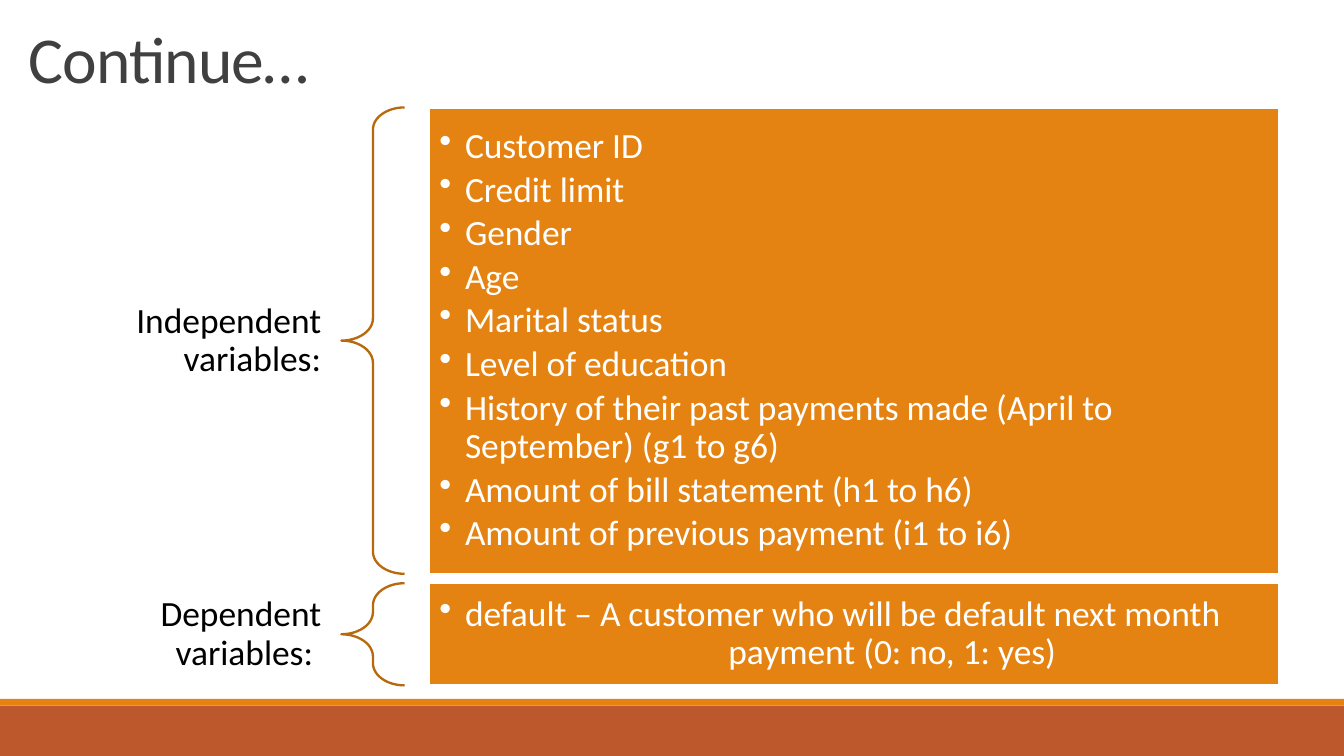
from lxml.etree import SubElement
from pptx import Presentation
from pptx.dml.color import RGBColor
from pptx.enum.shapes import MSO_SHAPE
from pptx.enum.text import MSO_ANCHOR, MSO_AUTO_SIZE, PP_ALIGN
from pptx.oxml.ns import qn
from pptx.util import Inches, Pt

COLORS = {
    "title": "404040",
    "label": "000000",
    "white": "FFFFFF",
    "orange": "E48312",
    "rust": "BD582C",
    "brace": "B7690E",
}
COLUMNS, ROWS = 100, 56.25
BULLET_INDENT = 1.9
GROUP_TOP, GROUP_GAP = 8, 0.7

GROUPS = [
    ("Independent variables:", 34.7, [
        ("Customer ID",),
        ("Credit limit",),
        ("Gender",),
        ("Age",),
        ("Marital status",),
        ("Level of education",),
        ("History of their past payments made (April to September) (g1 to g6)",),
        ("Amount of bill statement (h1 to h6)",),
        ("Amount of previous payment (i1 to i6)",),
    ]),
    ("Dependent variables: ", 7.6, [
        ("default – A customer who will be default next month", "payment (0: no, 1: yes)"),
    ]),
]
CONTINUATION_INDENT = 21.5


def write_text(paragraph, text, size=19, color="white", align=PP_ALIGN.LEFT,
               leading=0.9, after=0, tracking=None):
    """Fill a paragraph with one formatted run."""
    run = paragraph.add_run()
    run.text = text
    run.font.name = "Calibri"
    run.font.size = Pt(size)
    run.font.color.rgb = RGBColor.from_string(COLORS[color])
    if tracking is not None:
        run.font._element.set("spc", str(round(tracking * 100)))
    paragraph.alignment = align
    paragraph.line_spacing = leading
    paragraph.space_before = Pt(0)
    paragraph.space_after = Pt(after)


class SlideBuilder:
    """Holds the grid, the style and the current slide."""

    def __init__(self, presentation):
        self.column = presentation.slide_width / COLUMNS
        self.row = presentation.slide_height / ROWS
        self.slide = presentation.slides.add_slide(presentation.slide_layouts[5])

    def place(self, left, top, width, height):
        return (round(left * self.column), round(top * self.row),
                round(width * self.column), round(height * self.row))

    def frame(self, shape, side, vertical):
        frame = shape.text_frame
        frame.word_wrap = True
        frame.auto_size = MSO_AUTO_SIZE.NONE
        frame.vertical_anchor = MSO_ANCHOR.MIDDLE
        frame.margin_left = frame.margin_right = round(side * self.column)
        frame.margin_top = frame.margin_bottom = round(vertical * self.row)
        return frame

    def title(self, text, *area):
        title = self.slide.shapes.title
        title.left, title.top, title.width, title.height = self.place(*area)
        frame = self.frame(title, 1, 0.5)
        write_text(frame.paragraphs[0], text, size=35.1, color="title",
                   leading=0.85, tracking=-0.4)

    def shape(self, kind, *area, fill=None, line=None):
        shape = self.slide.shapes.add_shape(kind, *self.place(*area))
        shape.shadow.inherit = False
        if fill:
            shape.fill.solid()
            shape.fill.fore_color.rgb = RGBColor.from_string(COLORS[fill])
        else:
            shape.fill.background()
        if line:
            shape.line.color.rgb = RGBColor.from_string(COLORS[line])
            shape.line.width = Pt(1.25)
        else:
            shape.line.fill.background()
        return shape

    def label(self, text, *area):
        box = self.slide.shapes.add_textbox(*self.place(*area))
        frame = self.frame(box, 1.5, 0.5)
        write_text(frame.paragraphs[0], text, color="label", align=PP_ALIGN.RIGHT)

    def brace(self, *area):
        brace = self.shape(MSO_SHAPE.LEFT_BRACE, *area, line="brace")
        brace.adjustments[0], brace.adjustments[1] = 0.35, 0.5

    def indent(self, paragraph, margin, hanging=0):
        properties = paragraph._p.get_or_add_pPr()
        properties.set("marL", str(round(margin * self.column)))
        properties.set("indent", str(round(-hanging * self.column)))
        return properties

    def panel(self, items, *area):
        panel = self.shape(MSO_SHAPE.RECTANGLE, *area, fill="orange", line="white")
        frame = self.frame(panel, 0.8, 0.8)
        paragraph = frame.paragraphs[0]
        for index, (lead, *continuation) in enumerate(items):
            if index:
                paragraph = frame.add_paragraph()
            write_text(paragraph, lead, after=0 if continuation else 2.85)
            properties = self.indent(paragraph, BULLET_INDENT, BULLET_INDENT)
            SubElement(properties, qn("a:buChar")).set("char", "•")
            for text in continuation:
                paragraph = frame.add_paragraph()
                write_text(paragraph, text, after=2.85)
                self.indent(paragraph, CONTINUATION_INDENT)


def main():
    presentation = Presentation()
    presentation.slide_width, presentation.slide_height = Inches(10), Inches(5.625)
    builder = SlideBuilder(presentation)
    builder.shape(MSO_SHAPE.RECTANGLE, 0, 52.5, COLUMNS, 3.75, fill="rust")
    builder.shape(MSO_SHAPE.RECTANGLE, 0, 52, COLUMNS, 0.5, fill="orange")
    builder.title("Continue…", 1.1, 1.6, 93.2, 6.3)

    top, label_height = GROUP_TOP, 6.9
    for label, height, items in GROUPS:
        builder.label(label, 2.1, top + (height - label_height) / 2, 23.3, label_height)
        builder.brace(25.4, top, 4.7, height)
        builder.panel(items, 31.9, top, 63.3, height)
        top += height + GROUP_GAP
    presentation.save("out.pptx")


if __name__ == "__main__":
    main()
